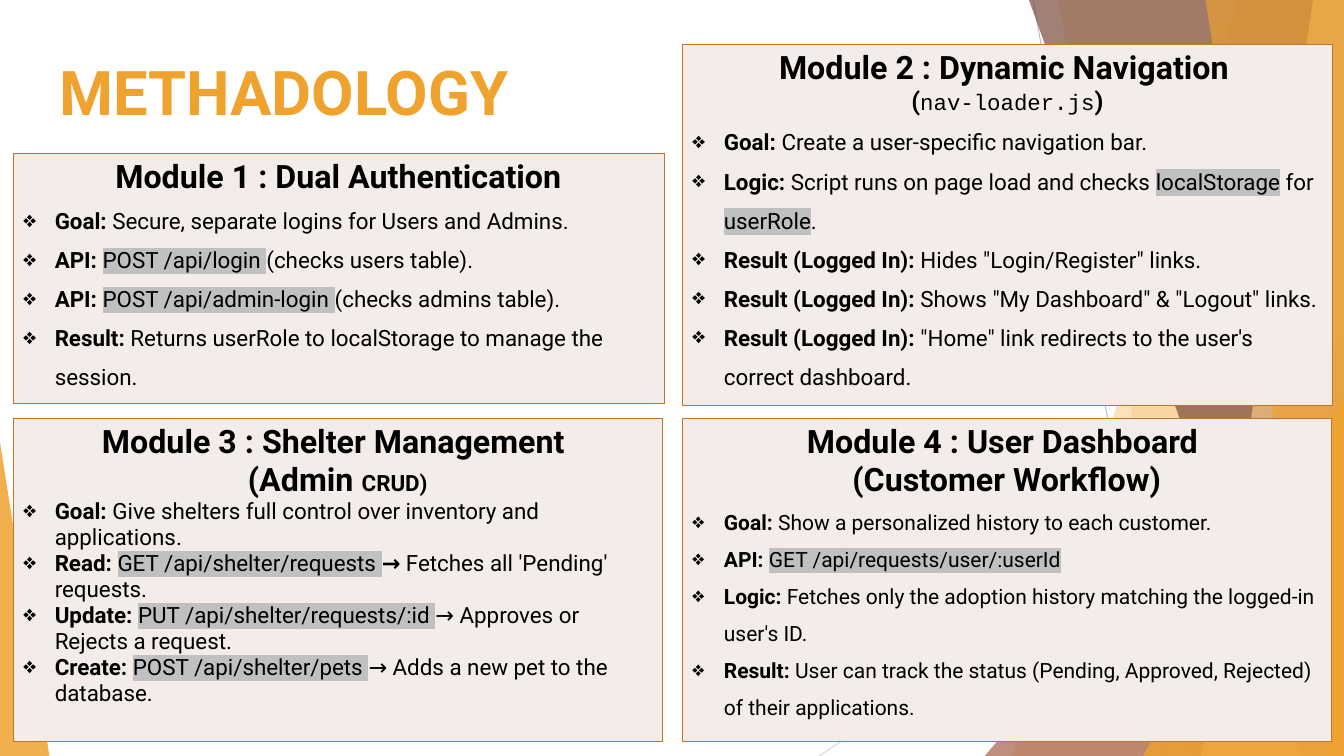
from lxml.etree import SubElement
from pptx import Presentation
from pptx.dml.color import RGBColor
from pptx.enum.shapes import MSO_CONNECTOR, MSO_SHAPE
from pptx.enum.text import MSO_ANCHOR, PP_ALIGN
from pptx.oxml.ns import qn
from pptx.util import Pt

AMBER = RGBColor(0xF0, 0xA2, 0x2E)
PALE_AMBER = RGBColor(0xF6, 0xC7, 0x82)
RUST = RGBColor(0xA5, 0x64, 0x4E)
BROWN = RGBColor(0x7C, 0x4B, 0x3B)
BORDER = RGBColor(0xC1, 0x75, 0x29)
PANEL = RGBColor(0xF4, 0xEC, 0xE8)
BLACK = RGBColor(0, 0, 0)
GREY = RGBColor(0xBF, 0xBF, 0xBF)
LIGHT_GREY = RGBColor(0xD9, 0xD9, 0xD9)
CODE_MARK = RGBColor(0xC0, 0xC0, 0xC0)

WIDTH, HEIGHT = 960, 540
INDENT = 22.5
TITLE = "METHADOLOGY"
TITLE_BOX = (35.3, 33.1, 676.8, 63.4)

HEADING = {"size": Pt(23), "bold": True}
BRACKET = {"size": Pt(18), "bold": True}
SMALL_HEADING = {"size": Pt(16), "bold": True}
FILE_NAME = {"size": Pt(16), "bold": False, "name": "Courier New"}
LABEL, PLAIN, CODE = {"bold": True}, {"bold": False}, {"bold": False}

MODULES = [
    {"box": (9.4, 109.4, 465.1, 175.7), "size": 16, "spacing": 1.5,
     "headings": [[("Module 1 : Dual Authentication", HEADING)]],
     "points": [
         [("Goal: ", LABEL), ("Secure, separate logins for Users and Admins.", PLAIN)],
         [("API: ", LABEL), ("POST /api/login ", CODE), ("(checks users table).", PLAIN)],
         [("API: ", LABEL), ("POST /api/admin-login ", CODE),
          ("(checks admins table).", PLAIN)],
         [("Result: ", LABEL),
          ("Returns userRole to localStorage to manage the session.", PLAIN)]]},
    {"box": (487.4, 31.7, 464.4, 251), "size": 16, "spacing": 1.5,
     "headings": [[("Module 2 : Dynamic Navigation", HEADING), (" ", BRACKET)],
                  [("(", BRACKET), ("nav-loader.js", FILE_NAME), (")", BRACKET)]],
     "points": [
         [("Goal: ", LABEL), ("Create a user-specific navigation bar.", PLAIN)],
         [("Logic: ", LABEL), ("Script runs on page load and checks ", PLAIN),
          ("localStorage", CODE), (" for ", PLAIN), ("userRole", CODE), (".", PLAIN)],
         [("Result (Logged In): ", LABEL), ('Hides "Login/Register" links.', PLAIN)],
         [("Result (Logged In): ", LABEL),
          ('Shows "My Dashboard" & "Logout" links.', PLAIN)],
         [("Result (Logged In): ", LABEL),
          ('"Home" link redirects to the user\'s correct dashboard.', PLAIN)]]},
    {"box": (9.4, 298.8, 463.7, 231.1), "size": 16, "spacing": 1.0,
     "headings": [[("Module 3 : Shelter Management ", HEADING)],
                  [("(Admin ", HEADING), ("CRUD)", SMALL_HEADING)]],
     "points": [
         [("Goal: ", LABEL),
          ("Give shelters full control over inventory and applications.", PLAIN)],
         [("Read: ", LABEL), ("GET /api/shelter/requests ", CODE), ("→ ", LABEL),
          ("Fetches all 'Pending' requests.", PLAIN)],
         [("Update: ", LABEL), ("PUT /api/shelter/requests/:id ", CODE),
          ("→ Approves or Rejects a request.", PLAIN)],
         [("Create: ", LABEL), ("POST /api/shelter/pets ", CODE),
          ("→ Adds a new pet to the database.", PLAIN)]]},
    {"box": (487.4, 298.8, 463.7, 231.1), "size": 15, "spacing": 1.5,
     "headings": [[("Module 4 : User Dashboard ", HEADING)],
                  [("(Customer Workflow)", HEADING)]],
     "points": [
         [("Goal: ", LABEL), ("Show a personalized history to each customer.", PLAIN)],
         [("API: ", LABEL), ("GET /api/requests/user/:userId", CODE)],
         [("Logic: ", LABEL),
          ("Fetches only the adoption history matching the logged-in user's ID.", PLAIN)],
         [("Result: ", LABEL),
          ("User can track the status (Pending, Approved, Rejected) of their "
           "applications.", PLAIN)]]},
]

RAYS = [((738, 0), (834, HEIGHT), GREY), ((WIDTH, 290), (585, HEIGHT), LIGHT_GREY)]

# Each band runs from its top-left x to its bottom-left x and fills to the right edge.
BAND, WEDGE = "band", "wedge"
FACETS = [
    (BAND, (884, 723), AMBER, 30),
    (BAND, (756, 852), AMBER, 20),
    (WEDGE, (703.4, 240, 256.6, 1), RUST, 72),
    (BAND, (735, 929.5), BROWN, 70),
    (BAND, (938, 858), PALE_AMBER, 70),
    (BAND, (861, 949), AMBER, 65),
    (WEDGE, (816.5, 283, 143.5, 1), AMBER, 80),
    (WEDGE, (0, 316, 35.3, 0), AMBER, 85),
]


def add_run(paragraph, text, style, defaults, marked=False):
    run = paragraph.add_run()
    run.text = text
    values = {"name": "Roboto", **defaults, **style}
    colour = values.pop("colour", BLACK)
    for key, value in values.items():
        setattr(run.font, key, value)
    run.font.color.rgb = colour
    if marked:
        properties = run.font._element
        highlight = SubElement(properties, qn("a:highlight"))
        SubElement(highlight, qn("a:srgbClr"), val=str(CODE_MARK))
        properties.find(qn("a:solidFill")).addnext(highlight)


def add_ray(slide, start, end, colour):
    ray = slide.shapes.add_connector(
        MSO_CONNECTOR.STRAIGHT, *(Pt(value) for value in start + end))
    ray.line.color.rgb = colour
    ray.line.width = Pt(0.75)
    SubElement(ray._element.spPr, qn("a:effectLst"))


def add_facet(slide, kind, geometry, colour, opacity):
    if kind == BAND:
        top_x, bottom_x = geometry
        outline = slide.shapes.build_freeform(Pt(top_x), 0)
        outline.add_line_segments([(Pt(x), Pt(y)) for x, y in (
            (WIDTH, 0), (WIDTH, HEIGHT), (bottom_x, HEIGHT))])
        facet = outline.convert_to_shape()
    else:
        left, top, width, apex = geometry
        facet = slide.shapes.add_shape(
            MSO_SHAPE.ISOSCELES_TRIANGLE, Pt(left), Pt(top), Pt(width), Pt(HEIGHT - top))
        facet.adjustments[0] = apex
    facet.shadow.inherit = False
    facet.fill.solid()
    facet.fill.fore_color.rgb = colour
    facet.line.fill.background()
    fill_colour = facet._element.spPr.find(qn("a:solidFill"))[0]
    SubElement(fill_colour, qn("a:alpha"), val=str(opacity * 1000))


def add_title(slide):
    title = slide.shapes.add_textbox(*(Pt(value) for value in TITLE_BOX))
    title.text_frame.word_wrap = True
    title.text_frame.vertical_anchor = MSO_ANCHOR.MIDDLE
    add_run(title.text_frame.paragraphs[0], TITLE,
            {"size": Pt(44), "bold": True, "colour": AMBER}, {})


def add_borders(cell):
    properties = cell._tc.get_or_add_tcPr()
    for index, side in enumerate(("lnL", "lnR", "lnT", "lnB")):
        edge = SubElement(properties, qn(f"a:{side}"), w=str(Pt(1)))
        SubElement(SubElement(edge, qn("a:solidFill")), qn("a:srgbClr"), val=str(BORDER))
        properties.insert(index, edge)


def add_module(slide, module):
    panel = slide.shapes.add_table(1, 1, *(Pt(value) for value in module["box"])).table
    panel.first_row = panel.horz_banding = False
    cell = panel.cell(0, 0)
    cell.fill.solid()
    cell.fill.fore_color.rgb = PANEL
    add_borders(cell)
    frame = cell.text_frame
    defaults = {"size": Pt(module["size"])}
    for index, heading in enumerate(module["headings"]):
        paragraph = frame.add_paragraph() if index else frame.paragraphs[0]
        paragraph.alignment = PP_ALIGN.CENTER
        for text, style in heading:
            add_run(paragraph, text, style, defaults)
    for point in module["points"]:
        paragraph = frame.add_paragraph()
        properties = paragraph._p.get_or_add_pPr()
        properties.set("marL", str(Pt(INDENT)))
        properties.set("indent", str(-Pt(INDENT)))
        SubElement(properties, qn("a:buChar"), char="❖")
        paragraph.line_spacing = module["spacing"]
        for text, style in point:
            add_run(paragraph, text, style, defaults, style is CODE)


def main():
    deck = Presentation()
    deck.slide_width, deck.slide_height = Pt(WIDTH), Pt(HEIGHT)
    slide = deck.slides.add_slide(deck.slide_layouts[6])
    for ray in RAYS:
        add_ray(slide, *ray)
    for facet in FACETS:
        add_facet(slide, *facet)
    add_title(slide)
    for module in MODULES:
        add_module(slide, module)
    deck.save("out.pptx")


if __name__ == "__main__":
    main()
